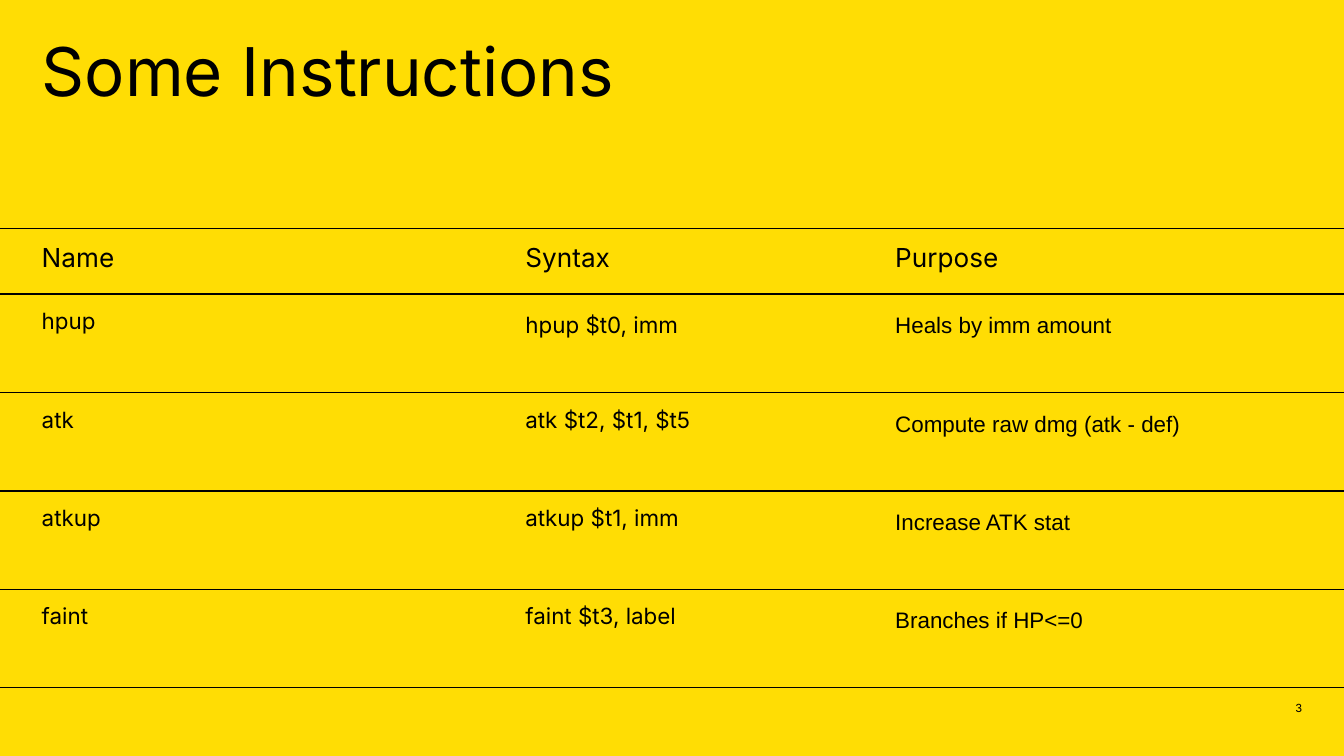
from dataclasses import dataclass

from lxml import etree
from pptx import Presentation
from pptx.dml.color import RGBColor
from pptx.enum.shapes import MSO_CONNECTOR
from pptx.enum.text import MSO_ANCHOR, PP_ALIGN
from pptx.oxml.ns import qn
from pptx.slide import Slide
from pptx.util import Cm, Pt

STRAIGHT = MSO_CONNECTOR.STRAIGHT
TOP, MIDDLE = MSO_ANCHOR.TOP, MSO_ANCHOR.MIDDLE
LEFT, RIGHT = PP_ALIGN.LEFT, PP_ALIGN.RIGHT

COLORS = {"background": "FFDD04", "ink": "000000"}
PAGE_WIDTH, PAGE_HEIGHT = 25.4, 14.29
MARGIN = 0.79
HEADER_TOP, BODY_TOP, ROW_STEP = 4.32, 5.56, 1.86
CELL_INSET = 0.25


@dataclass
class Label:
    text: str
    left: float
    top: float
    width: float
    height: float
    size: float
    font: str = "Inter"
    spacing: float = 1.0
    inset_top: float = 0
    inset_right: float = 0
    align: PP_ALIGN = LEFT
    anchor: MSO_ANCHOR = TOP


@dataclass
class Column:
    heading: str
    left: float
    width: float
    entries: list[str]
    font: str = "Inter"
    spacings: tuple[float, ...] = (1.0, 1.0, 1.0, 1.0)
    inset_right: float = 0


COLUMNS = [
    Column("Name", MARGIN, 9.7, ["hpup", "atk", "atkup", "faint"],
           inset_right=0.51),
    Column("Syntax", 9.93, 6.6,
           ["hpup $t0, imm", "atk $t2, $t1, $t5", "atkup $t1, imm", "faint $t3, label"],
           spacings=(1.15, 1.0, 1.0, 1.0)),
    Column("Purpose", 16.92, 7.7,
           ["Heals by imm amount", "Compute raw dmg (atk - def)",
            "Increase ATK stat", "Branches if HP<=0"],
           font="Arial", spacings=(1.15,) * 4),
]


def draw_label(page: Slide, label: Label) -> None:
    box = page.shapes.add_textbox(
        Cm(label.left), Cm(label.top), Cm(label.width), Cm(label.height))
    frame = box.text_frame
    frame.word_wrap = True
    frame.vertical_anchor = label.anchor
    frame.margin_left = frame.margin_bottom = 0
    frame.margin_top = Cm(label.inset_top)
    frame.margin_right = Cm(label.inset_right)
    frame.text = label.text
    para = frame.paragraphs[0]
    para.alignment = label.align
    para.line_spacing = label.spacing
    span = para.runs[0]
    span.font.name = label.font
    span.font.size = Pt(label.size)
    span.font.color.rgb = RGBColor.from_string(COLORS["ink"])


def draw_rule(page: Slide, top: float) -> None:
    rule = page.shapes.add_connector(STRAIGHT, 0, Cm(top), Cm(PAGE_WIDTH), Cm(top))
    rule.line.width = Pt(0.75)
    rule.line.color.rgb = RGBColor.from_string(COLORS["ink"])
    etree.SubElement(rule._element.spPr, qn("a:effectLst"))


def draw_column(page: Slide, column: Column) -> None:
    draw_label(page, Label(column.heading, column.left, HEADER_TOP, column.width,
                           0.94, 14, inset_top=CELL_INSET))
    for index, (entry, spacing) in enumerate(zip(column.entries, column.spacings)):
        draw_label(page, Label(entry, column.left, BODY_TOP + index * ROW_STEP,
                               column.width, 1.45 - 0.1 * index, 12, column.font,
                               spacing, CELL_INSET, column.inset_right))


def main() -> None:
    deck = Presentation()
    deck.slide_width, deck.slide_height = Cm(PAGE_WIDTH), Cm(PAGE_HEIGHT)
    page = deck.slides.add_slide(deck.slide_layouts[6])
    page.background.fill.solid()
    page.background.fill.fore_color.rgb = RGBColor.from_string(COLORS["background"])

    draw_label(page, Label("Some Instructions", MARGIN, MARGIN, 17.86, 1.32, 36,
                           spacing=0.85))
    for column in COLUMNS:
        draw_column(page, column)
    draw_rule(page, HEADER_TOP)
    for index in range(5):
        draw_rule(page, BODY_TOP + index * ROW_STEP)
    draw_label(page, Label("3", 23.09, 13.28, 1.52, 0.2, 6, align=RIGHT, anchor=MIDDLE))
    deck.save("out.pptx")


if __name__ == "__main__":
    main()
